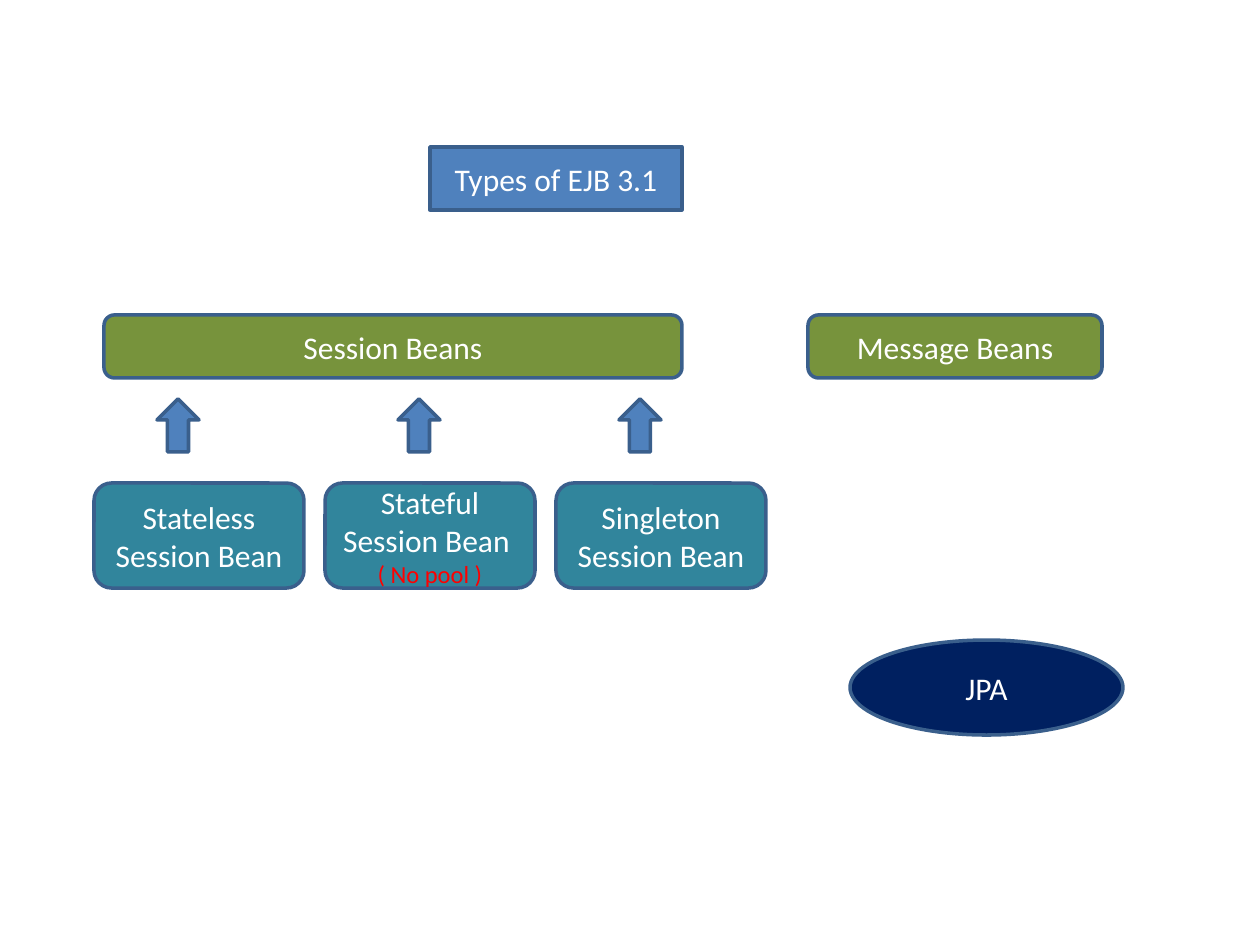
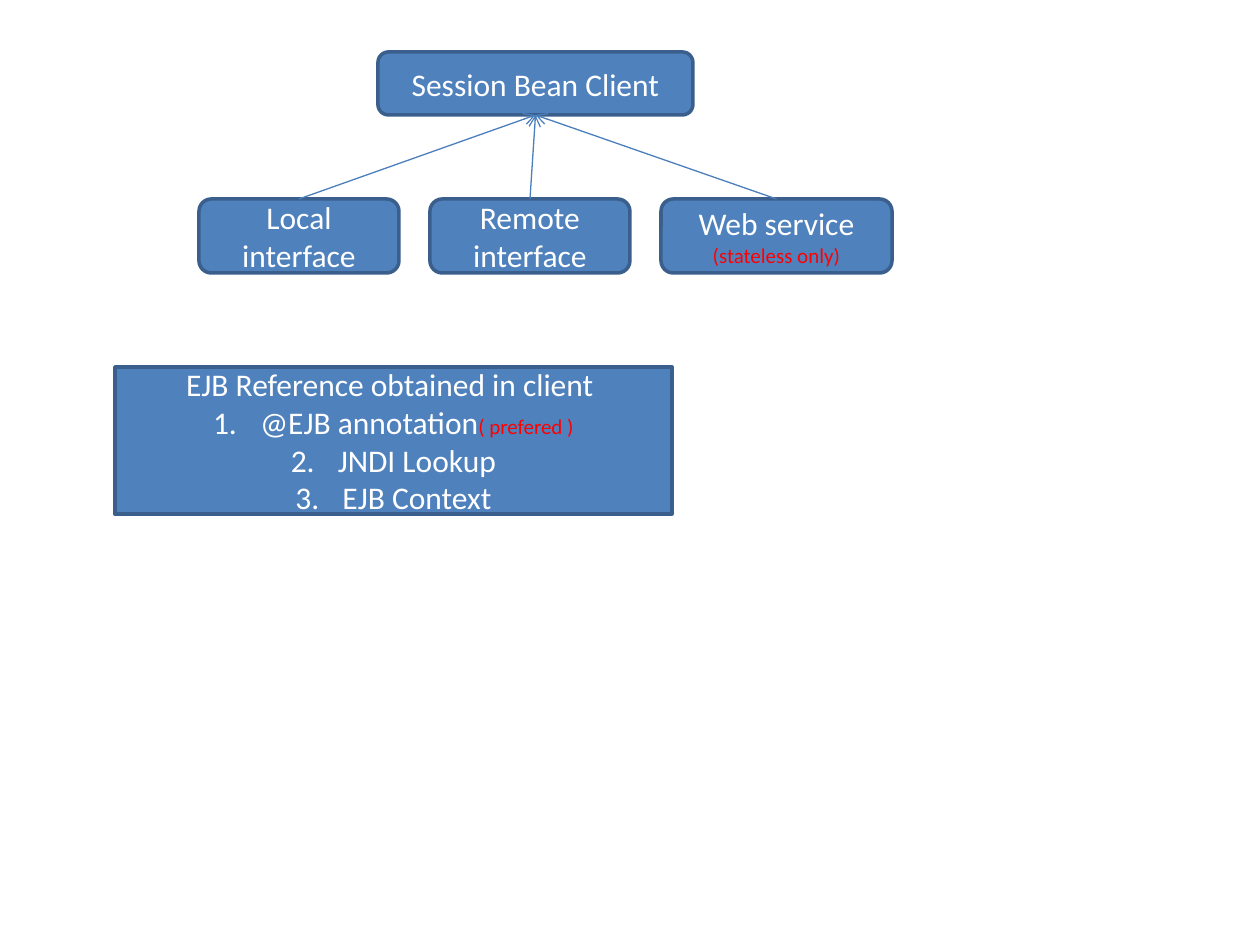
from lxml.etree import SubElement
from pptx import Presentation
from pptx.dml.color import RGBColor
from pptx.enum.shapes import MSO_CONNECTOR, MSO_SHAPE
from pptx.enum.text import MSO_ANCHOR, PP_ALIGN
from pptx.oxml.ns import qn
from pptx.util import Emu, Pt

EMU_PER_PX = 914400 / 126
FONT = "Calibri"
WHITE = RGBColor(0xFF, 0xFF, 0xFF)
RED = RGBColor(0xFF, 0x00, 0x00)
BLUE = RGBColor(0x4F, 0x81, 0xBD)
GREEN = RGBColor(0x77, 0x93, 0x3C)
TEAL = RGBColor(0x31, 0x85, 0x9C)
NAVY = RGBColor(0x00, 0x20, 0x60)
OUTLINE = RGBColor(0x3A, 0x5F, 0x8C)
LINK = RGBColor(0x4B, 0x7E, 0xBC)
COLUMN_STEP = 231


def px(n):
    return Emu(round(n * EMU_PER_PX))


def add_run(p, text, size=18, color=WHITE):
    r = p.add_run()
    r.text = text
    r.font.name = FONT
    r.font.size = Pt(size)
    r.font.color.rgb = color


def add_paragraph(tf, text):
    p = tf.add_paragraph() if tf.paragraphs[0].runs else tf.paragraphs[0]
    p.alignment = PP_ALIGN.CENTER
    add_run(p, text)
    return p


def add_box(s, kind, box, fill, text="", note="", note_size=14):
    sp = s.shapes.add_shape(kind, *map(px, box))
    sp.shadow.inherit = False
    sp.fill.solid()
    sp.fill.fore_color.rgb = fill
    sp.line.color.rgb = OUTLINE
    sp.line.width = Pt(2)
    tf = sp.text_frame
    tf.word_wrap = True
    tf.vertical_anchor = MSO_ANCHOR.MIDDLE
    if text:
        add_paragraph(tf, text)
    if note:
        p = tf.add_paragraph()
        p.alignment = PP_ALIGN.CENTER
        add_run(p, note, note_size, RED)
    return sp


def add_link(s, child, parent):
    c = s.shapes.add_connector(MSO_CONNECTOR.STRAIGHT, 0, 0, 0, 0)
    c.begin_connect(child, 0)
    c.end_connect(parent, 2)
    c.line.color.rgb = LINK
    c.line.width = Pt(0.75)
    SubElement(c.line._get_or_add_ln(), qn("a:tailEnd"), type="arrow")
    SubElement(c._element.spPr, qn("a:effectLst"))


def number_paragraph(p, indent):
    pPr = p._p.get_or_add_pPr()
    pPr.set("marL", str(px(indent)))
    pPr.set("indent", str(-px(indent)))
    SubElement(pPr, qn("a:buFont"), typeface="+mj-lt")
    SubElement(pPr, qn("a:buAutoNum"), type="arabicPeriod")


def add_session_beans(s, left, top):
    add_box(s, MSO_SHAPE.ROUNDED_RECTANGLE, (left + 10, top, 578, 63), GREEN, "Session Beans")
    beans = [("Stateless Session Bean", "", 63),
             ("Stateful Session Bean ", "( No pool )", 304),
             ("Singleton Session Bean", "", 525)]
    for i, (text, note, arrow_x) in enumerate(beans):
        add_box(s, MSO_SHAPE.ROUNDED_RECTANGLE,
                (left + i * COLUMN_STEP, top + 168, 210, 105), TEAL, text, note)
        add_box(s, MSO_SHAPE.UP_ARROW, (left + arrow_x, top + 84, 42, 53), BLUE)


def add_client_tree(s, left, top):
    client = add_box(s, MSO_SHAPE.ROUNDED_RECTANGLE, (left + 179, top, 315, 63),
                     BLUE, "Session Bean Client")
    access = [("Local interface", "", 200),
              ("Remote interface", "", 200),
              ("Web service", "(stateless only)", 231)]
    children = [add_box(s, MSO_SHAPE.ROUNDED_RECTANGLE,
                        (left + i * COLUMN_STEP, top + 147, width, 74), BLUE, text, note, 12)
                for i, (text, note, width) in enumerate(access)]
    for child in children:
        add_link(s, child, client)


def add_reference_list(s, box):
    sp = add_box(s, MSO_SHAPE.RECTANGLE, box, BLUE, "EJB Reference obtained in client ")
    ways = [("@EJB annotation", "( prefered )"), ("JNDI Lookup", ""), ("EJB Context", "")]
    for text, note in ways:
        p = add_paragraph(sp.text_frame, text)
        number_paragraph(p, 47)
        if note:
            add_run(p, note, 12, RED)


def add_types_slide(prs):
    s = prs.slides.add_slide(prs.slide_layouts[6])
    add_box(s, MSO_SHAPE.RECTANGLE, (430, 147, 252, 63), BLUE, "Types of EJB 3.1")
    add_session_beans(s, 94, 315)
    add_box(s, MSO_SHAPE.ROUNDED_RECTANGLE, (808, 315, 294, 63), GREEN, "Message Beans")
    add_box(s, MSO_SHAPE.OVAL, (850, 640, 273, 95), NAVY, "JPA")


def add_client_slide(prs):
    s = prs.slides.add_slide(prs.slide_layouts[6])
    add_client_tree(s, 199, 52)
    add_reference_list(s, (115, 367, 557, 147))


prs = Presentation()
prs.slide_width, prs.slide_height = px(1260), px(945)
add_types_slide(prs)
add_client_slide(prs)
prs.save("out.pptx")
